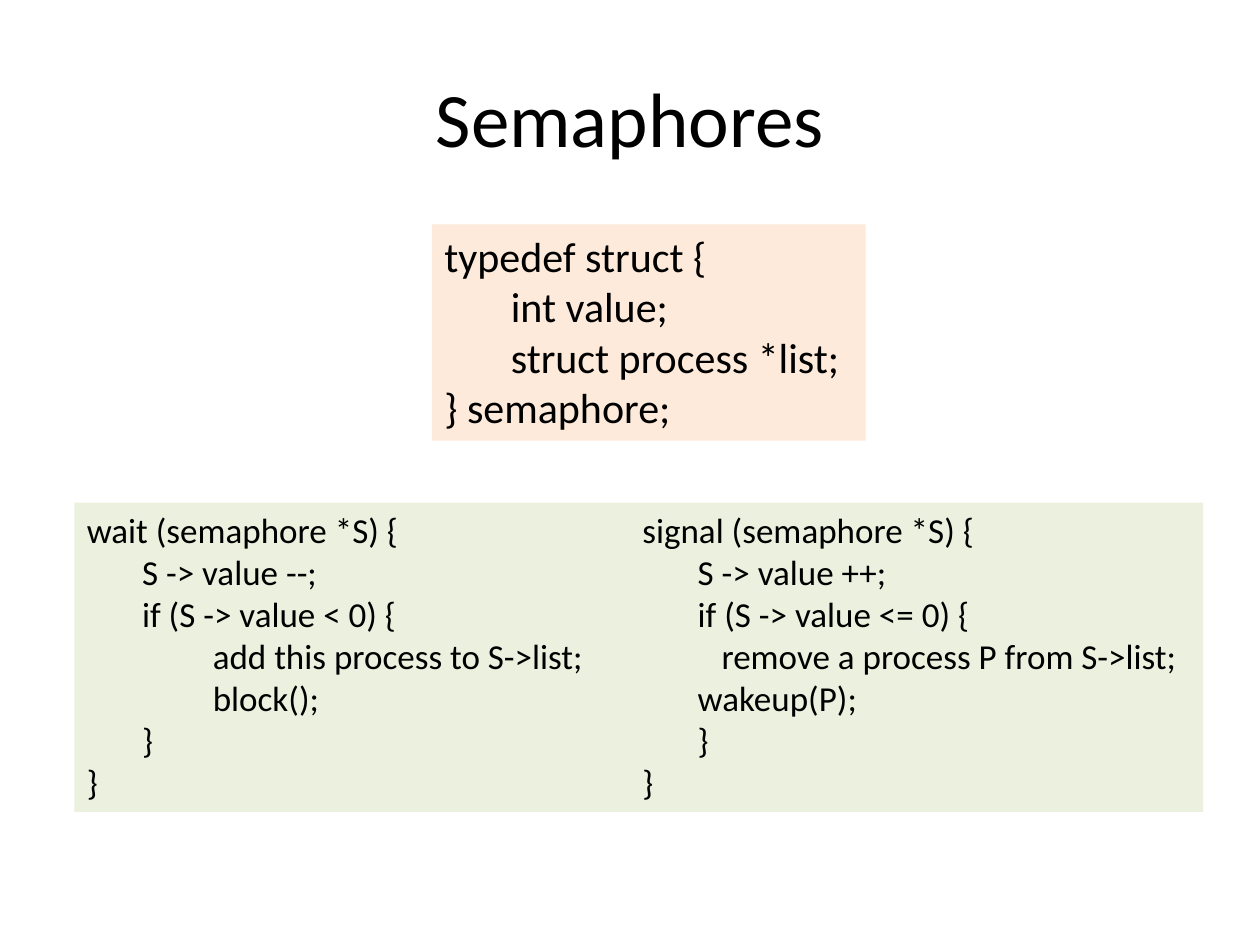
from pptx import Presentation
from pptx.dml.color import RGBColor
from pptx.enum.shapes import MSO_SHAPE
from pptx.enum.text import MSO_ANCHOR, PP_ALIGN
from pptx.util import Pt

COLORS = {"text": "000000", "struct": "FDEADA", "code": "EBF1DE"}

STRUCT = [
    (0, "typedef struct {"),
    (38, "int value;"),
    (38, "struct process *list;"),
    (0, "} semaphore;"),
]
WAIT = [
    (0, "wait (semaphore *S) {"),
    (31.6, "S -> value --;"),
    (31.6, "if (S -> value < 0) {"),
    (72, "add this process to S->list;"),
    (72, "block();"),
    (31.6, "}"),
    (0, "}"),
]
SIGNAL = [
    (0, "signal (semaphore *S) {"),
    (31.6, "S -> value ++;"),
    (31.6, "if (S -> value <= 0) {"),
    (45.2, "remove a process P from S->list;"),
    (31.6, "wakeup(P);"),
    (31.6, "}"),
    (0, "}"),
]


def write(para, text, size=20, align=PP_ALIGN.LEFT, indent=0):
    para.alignment = align
    if indent:
        props = para._p.get_or_add_pPr()
        props.set("marL", str(Pt(indent)))
        props.set("indent", "0")
    run = para.add_run()
    run.text = text
    run.font.name = "Calibri"
    run.font.size = Pt(size)
    run.font.color.rgb = RGBColor.from_string(COLORS["text"])


def add_title(slide, text):
    title = slide.shapes.title
    title.left, title.top = Pt(36), Pt(21.6)
    title.width, title.height = Pt(648), Pt(90)
    title.text_frame.vertical_anchor = MSO_ANCHOR.MIDDLE
    write(title.text_frame.paragraphs[0], text, size=44, align=PP_ALIGN.CENTER)


def add_code(slide, lines, left, top, width, height, fill, size=20):
    """Add a filled box with one paragraph for each (indent, text) line."""
    box = slide.shapes.add_shape(
        MSO_SHAPE.RECTANGLE, Pt(left), Pt(top), Pt(width), Pt(height))
    box.shadow.inherit = False
    box.fill.solid()
    box.fill.fore_color.rgb = RGBColor.from_string(COLORS[fill])
    box.line.fill.background()
    frame = box.text_frame
    frame.word_wrap = True
    frame.vertical_anchor = MSO_ANCHOR.TOP
    for i, (indent, text) in enumerate(lines):
        para = frame.add_paragraph() if i else frame.paragraphs[0]
        write(para, text, size=size, indent=indent)


def main():
    deck = Presentation()
    deck.slide_width, deck.slide_height = Pt(720), Pt(540)
    slide = deck.slides.add_slide(deck.slide_layouts[5])
    add_title(slide, "Semaphores")
    add_code(slide, STRUCT, 246.8, 128.2, 247.9, 123.6, "struct", size=24)
    add_code(slide, WAIT, 42.5, 287.2, 317.5, 176.8, "code")
    add_code(slide, SIGNAL, 360, 287.2, 327.5, 176.8, "code")
    deck.save("out.pptx")


if __name__ == "__main__":
    main()
